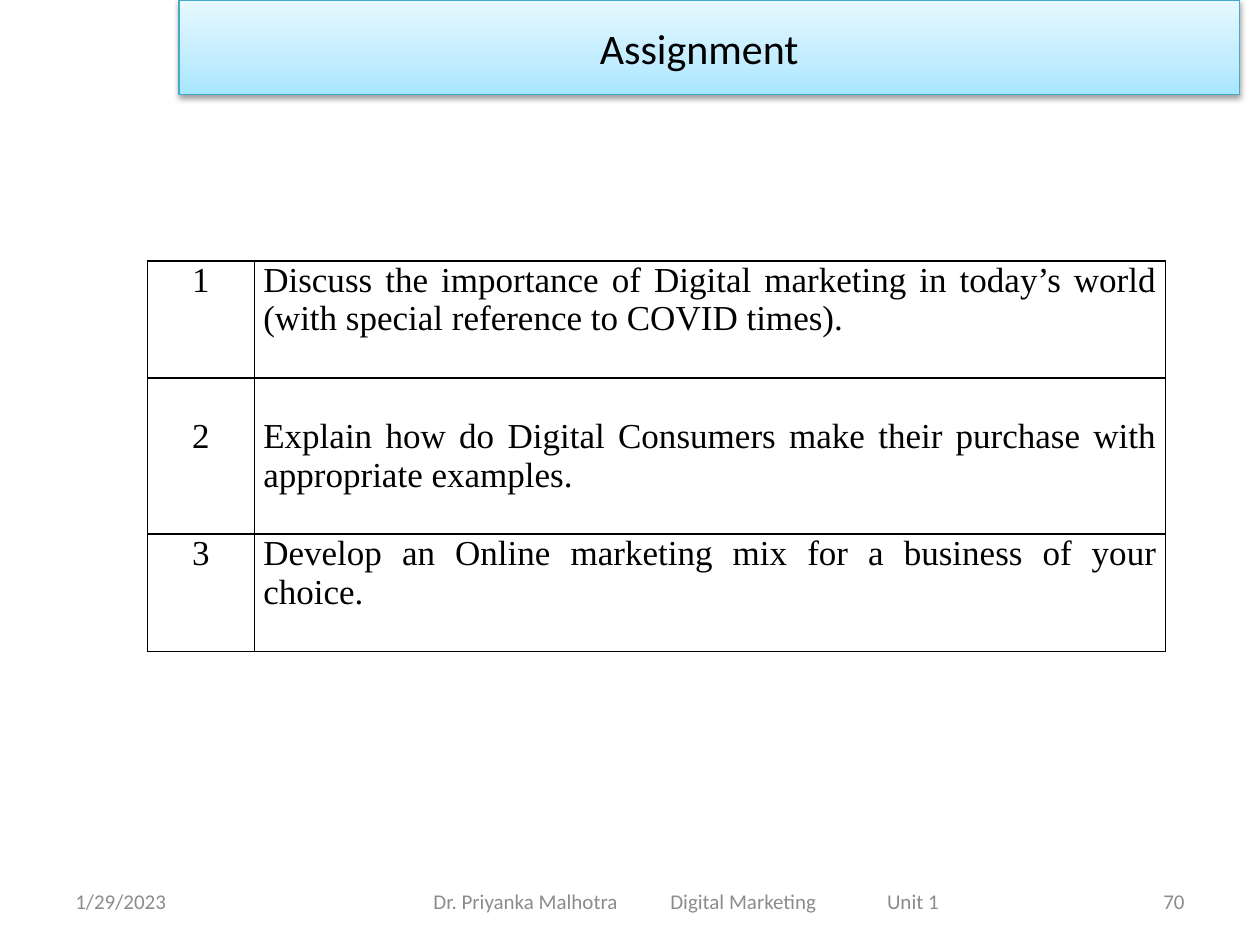
from lxml.etree import SubElement
from copy import deepcopy
from pptx import Presentation
from pptx.dml.color import RGBColor
from pptx.enum.shapes import MSO_SHAPE
from pptx.enum.text import MSO_ANCHOR, PP_ALIGN
from pptx.oxml.ns import qn
from pptx.util import Inches, Pt

BLACK = RGBColor(0x00, 0x00, 0x00)
GREY = RGBColor(0x8C, 0x8C, 0x8C)
TEAL = RGBColor(0x46, 0xAA, 0xC5)
BANNER_STOPS = [
    (0, RGBColor(0xA7, 0xE6, 0xFF)),
    (0.35, RGBColor(0xC1, 0xED, 0xFF)),
    (1, RGBColor(0xE7, 0xF8, 0xFF)),
]

LINE = 0.31
QUESTIONS = [
    ("Discuss the importance of Digital marketing in today’s world "
     "(with special reference to COVID times).", 0),
    ("Explain how do Digital Consumers make their purchase with "
     "appropriate examples.", LINE),
    ("Develop an Online marketing mix for a business of your choice.", 0),
]


def write(paragraph, text, size, color, font="Calibri", align=PP_ALIGN.LEFT):
    paragraph.alignment = align
    run = paragraph.add_run()
    run.text = text
    run.font.size = Pt(size)
    run.font.name = font
    run.font.color.rgb = color


def add_tabs(paragraph, positions):
    tabs = SubElement(paragraph._p.get_or_add_pPr(), qn("a:tabLst"))
    for position in positions:
        SubElement(tabs, qn("a:tab"), pos=str(Inches(position)), algn="l")


def add_footer(slide, left, width, text, align=PP_ALIGN.LEFT, indent=0.1, tabs=()):
    box = slide.shapes.add_textbox(Inches(left), Inches(6.95), Inches(width), Inches(0.4))
    frame = box.text_frame
    frame.word_wrap = True
    frame.vertical_anchor = MSO_ANCHOR.MIDDLE
    frame.margin_left = Inches(indent)
    paragraph = frame.paragraphs[0]
    if tabs:
        add_tabs(paragraph, tabs)
    write(paragraph, text, 12, GREY, align=align)


def fill_gradient(fill, stops):
    fill.gradient()
    fill.gradient_angle = 90
    stop_list = fill._fill._gradFill.gsLst
    stop_list.append(deepcopy(stop_list[0]))
    for stop, (position, color) in zip(fill.gradient_stops, stops):
        stop.position = position
        stop.color.rgb = color


def add_shadow(shape):
    effects = SubElement(shape._element.spPr, qn("a:effectLst"))
    shadow = SubElement(effects, qn("a:outerShdw"), blurRad=str(Pt(3.1)),
                        dist=str(Pt(1.6)), dir="5400000", rotWithShape="0")
    color = SubElement(shadow, qn("a:srgbClr"), val=str(BLACK))
    SubElement(color, qn("a:alpha"), val="38000")


def add_banner(slide, title):
    banner = slide.shapes.add_shape(
        MSO_SHAPE.RECTANGLE, Inches(1.42), 0, Inches(8.42), Inches(0.75))
    fill_gradient(banner.fill, BANNER_STOPS)
    banner.line.color.rgb = TEAL
    banner.line.width = Pt(0.75)
    add_shadow(banner)
    frame = banner.text_frame
    frame.vertical_anchor = MSO_ANCHOR.MIDDLE
    frame.margin_right = Inches(0.26)
    write(frame.paragraphs[0], title, 24, BLACK, align=PP_ALIGN.CENTER)


def add_borders(cell):
    properties = cell._tc.get_or_add_tcPr()
    for side in ("lnL", "lnR", "lnT", "lnB"):
        line = SubElement(properties, qn(f"a:{side}"), w=str(Pt(1)))
        paint = SubElement(line, qn("a:solidFill"))
        SubElement(paint, qn("a:srgbClr"), val=str(BLACK))


def fill_cell(cell, text, align, top):
    add_borders(cell)
    cell.fill.background()
    cell.margin_left = cell.margin_right = Inches(0.07)
    cell.margin_top = Inches(top)
    cell.margin_bottom = 0
    cell.vertical_anchor = MSO_ANCHOR.TOP
    write(cell.text_frame.paragraphs[0], text, 20, BLACK, "Times New Roman", align)


def add_questions(slide):
    table = slide.shapes.add_table(
        len(QUESTIONS), 2, Inches(1.17), Inches(2.07), Inches(8.08), Inches(3.09)).table
    table.first_row = table.horz_banding = False
    for column, width in zip(table.columns, (0.85, 7.23)):
        column.width = Inches(width)
    for index, (question, top) in enumerate(QUESTIONS):
        table.rows[index].height = Inches(3 * LINE + top)
        fill_cell(table.cell(index, 0), str(index + 1), PP_ALIGN.CENTER, top)
        fill_cell(table.cell(index, 1), question, PP_ALIGN.JUSTIFY, top)


def main():
    deck = Presentation()
    deck.slide_width, deck.slide_height = Inches(10), Inches(7.5)
    slide = deck.slides.add_slide(deck.slide_layouts[6])
    add_footer(slide, 0.5, 2.33, "1/29/2023")
    add_footer(slide, 2.42, 6.08, "Dr. Priyanka Malhotra\tDigital Marketing\tUnit 1",
               indent=1.02, tabs=(1.88, 3.6))
    add_footer(slide, 7.17, 2.33, "70", PP_ALIGN.RIGHT)
    add_banner(slide, "Assignment")
    add_questions(slide)
    deck.save("out.pptx")


if __name__ == "__main__":
    main()
